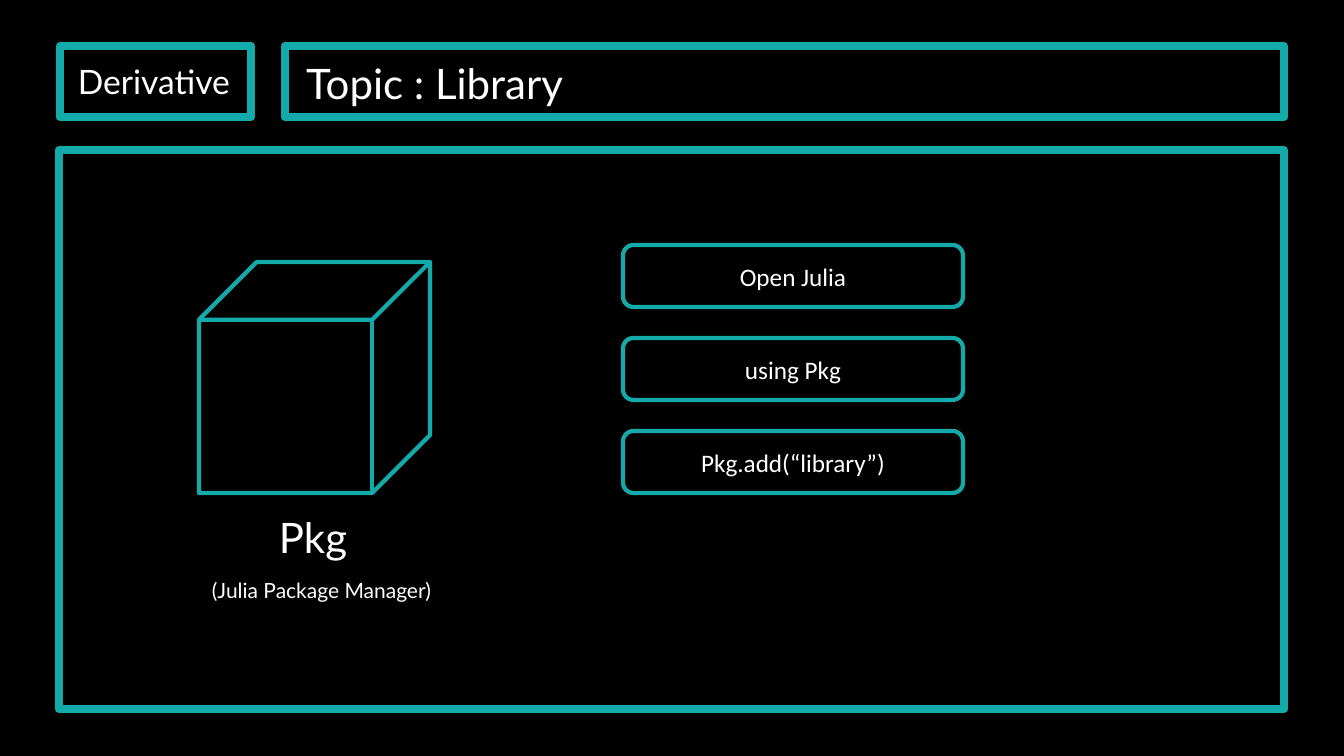
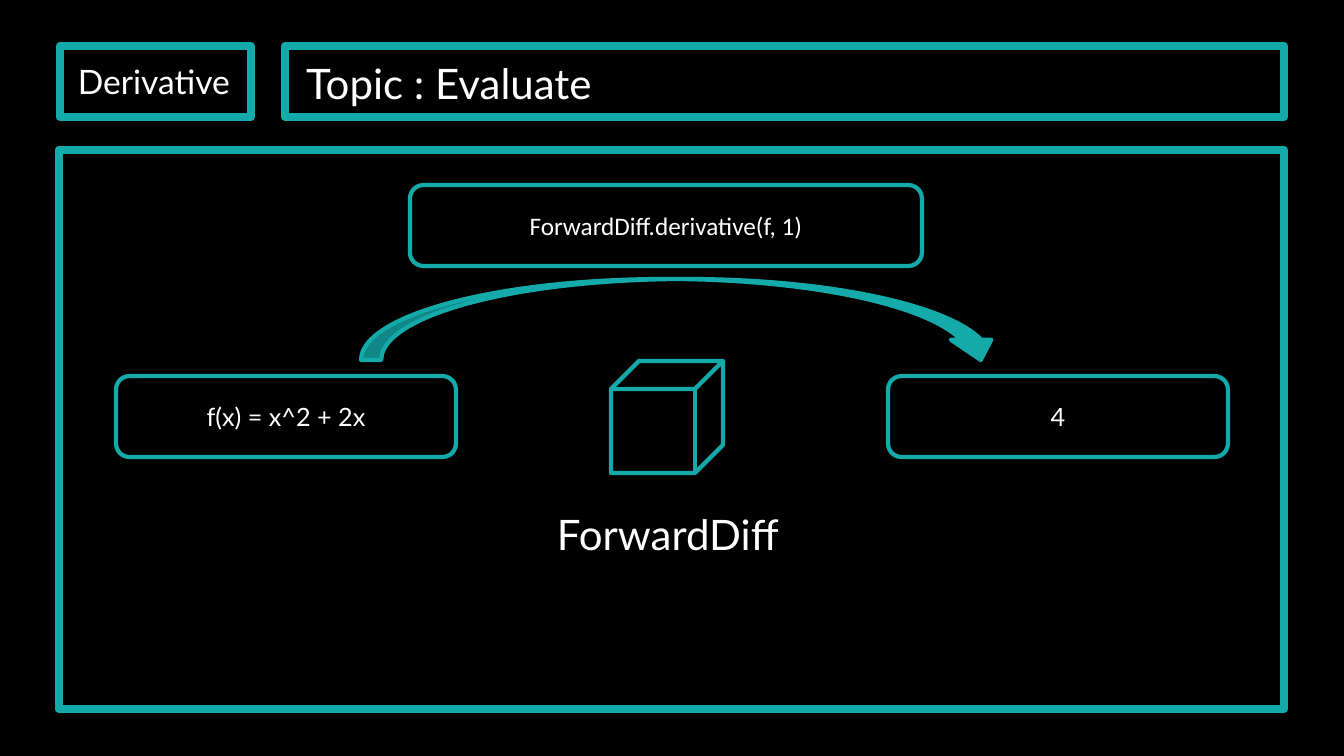
"""Build two dark slides on a Julia library for derivatives."""
from pptx import Presentation
from pptx import util as u
from pptx.dml.color import RGBColor
from pptx.enum import shapes, text

SCALE = 914400 / 100.8
TEAL, WHITE, BLACK = "14AAAA", "FFFFFF", "000000"
KIND = shapes.MSO_SHAPE
FRAMES = [(60, 46, 191, 71), (59, 150, 1225, 559), (285, 46, 999, 71)]


def put(item, spot, words="", size=18, face="Lato"):
    """Place an item and write its words in white."""
    item.left, item.top, item.width, item.height = [u.Emu(round(n * SCALE)) for n in spot]
    if words:
        para = item.text_frame.paragraphs[0]
        para.text = words
        para.font.size, para.font.name = u.Pt(size), face
        para.font.color.rgb = RGBColor.from_string(WHITE)
        if size > 18 or size < 18:
            frame = item.text_frame
            frame.word_wrap = False
            frame.auto_size = text.MSO_AUTO_SIZE.NONE
            frame.vertical_anchor = text.MSO_ANCHOR.TOP
            para.alignment = text.PP_ALIGN.LEFT


def draw(slide, kind, spot, words="", face="Lato", width=3, fill=None):
    """Draw a teal outlined shape."""
    item = slide.shapes.add_shape(kind, 0, 0, 0, 0)
    put(item, spot, words, 18, face)
    item.shadow.inherit = False
    item.line.color.rgb = RGBColor.from_string(TEAL)
    item.line.width = u.Pt(width)
    if fill:
        item.fill.solid()
        item.fill.fore_color.rgb = RGBColor.from_string(fill)
    else:
        item.fill.background()


deck = Presentation()
deck.slide_width = u.Emu(round(1344 * SCALE))
deck.slide_height = u.Emu(round(756 * SCALE))
back = deck.slide_master.background.fill
back.solid()
back.fore_color.rgb = RGBColor.from_string(BLACK)

pages = [
    ("Topic : Library", 286, (199, 262, 231, 231), [
        ("(Julia Package Manager)", (202, 573, 244, 35), 15),
        ("Pkg", (269, 507, 91, 61), 30)]),
    ("Topic : Evaluate", 307, (611, 361, 112, 112), [
        ("ForwardDiff", (547, 504, 250, 61), 30)]),
]
for title, wide, cube, notes in pages:
    slide = deck.slides.add_slide(deck.slide_layouts[5])
    put(slide.shapes.title, (296, 52, wide, 61), title, 30)
    for spot in FRAMES:
        draw(slide, KIND.RECTANGLE, spot, width=6)
    for words, spot, size in [("Derivative", (68, 56, 176, 50), 24)] + notes:
        put(slide.shapes.add_textbox(0, 0, 0, 0), spot, words, size)
    draw(slide, KIND.CUBE, cube)

first, second = deck.slides
for row, words in enumerate(["Open Julia", "using Pkg", "Pkg.add(“library”)"]):
    draw(first, KIND.ROUNDED_RECTANGLE, (623, 245 + 93 * row, 340, 62), words, "Calibri")

draw(second, KIND.CURVED_DOWN_ARROW, (361, 279, 640, 81), fill=TEAL)
for words, spot, face in [
        ("f(x) = x^2 + 2x", (116, 376, 340, 81), "Lato"),
        ("ForwardDiff.derivative(f, 1)", (410, 185, 512, 81), "Calibri"),
        ("4", (888, 376, 340, 81), "Lato")]:
    draw(second, KIND.ROUNDED_RECTANGLE, spot, words, face)

deck.save("out.pptx")
